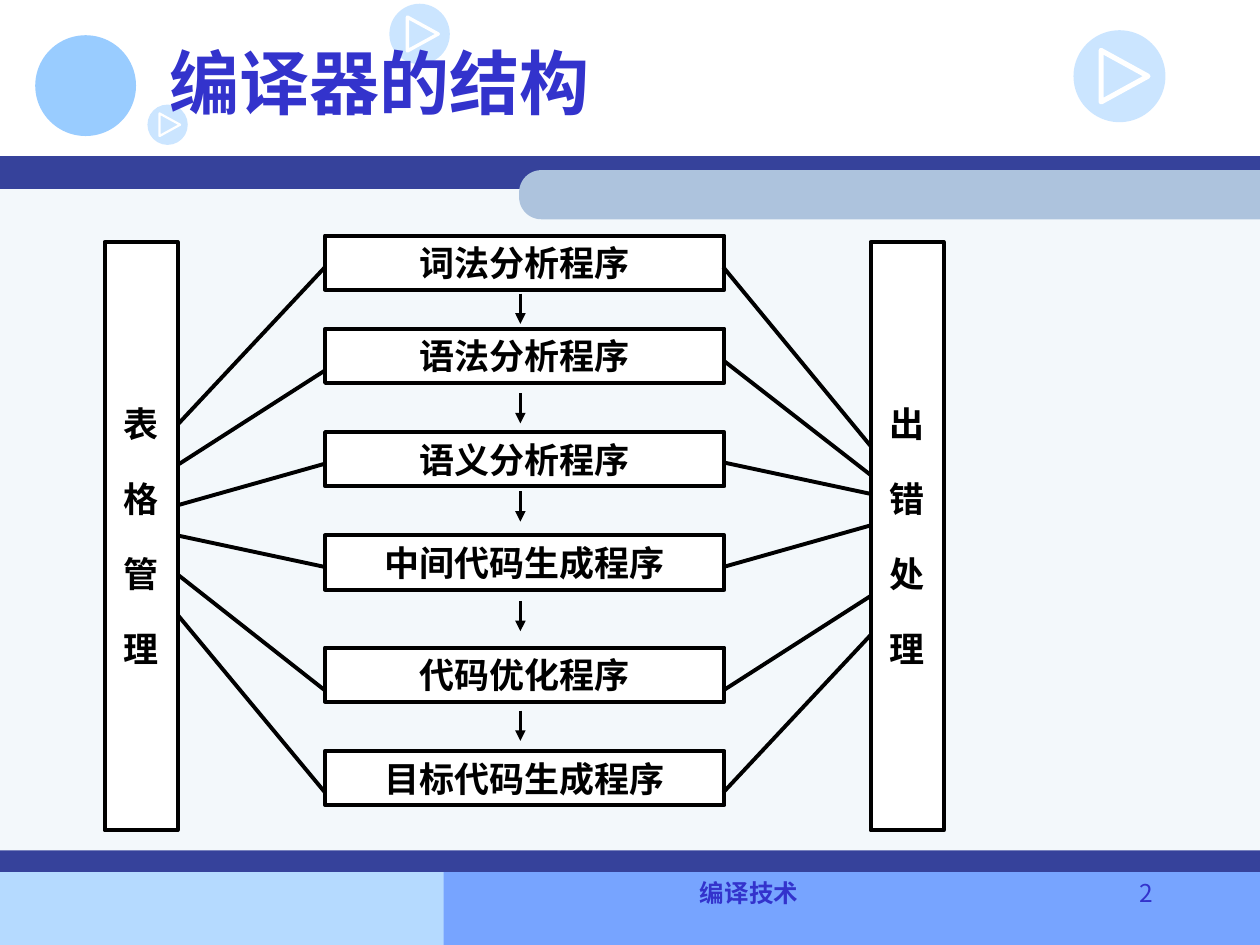
from pptx import Presentation
from pptx.dml.color import RGBColor
from pptx.enum.shapes import MSO_CONNECTOR as Link, MSO_SHAPE as Kind
from pptx.enum.text import MSO_ANCHOR as Anchor, PP_ALIGN as Align
from pptx.oxml.ns import qn
from pptx.util import Inches, Pt
from lxml.etree import SubElement

BLACK = RGBColor(0x00, 0x00, 0x00)
WHITE = RGBColor(0xFF, 0xFF, 0xFF)
INDIGO = RGBColor(0x33, 0x33, 0xCC)
NAVY = RGBColor(0x36, 0x42, 0x9B)
SKY = RGBColor(0x99, 0xCC, 0xFF)
PALE = RGBColor(0xB5, 0xDA, 0xFF)
BLUE = RGBColor(0x77, 0xA4, 0xFF)
MIST = RGBColor(0xF3, 0xF8, 0xFB)
STEEL = RGBColor(0xAD, 0xC3, 0xDD)
SANS = "Noto Sans CJK KR"
SERIF = "Times New Roman"

prs = Presentation()
prs.slide_width, prs.slide_height = Inches(10), Inches(7.5)
shapes = prs.slides.add_slide(prs.slide_layouts[6]).shapes


def add_block(kind, box, fill, line=None):
    """Add a flat shape; line is the colour of a 2.25 pt outline."""
    block = shapes.add_shape(kind, *map(Inches, box))
    block.shadow.inherit = False
    block.fill.solid()
    block.fill.fore_color.rgb = fill
    if line is None:
        block.line.fill.background()
    else:
        block.line.color.rgb = line
        block.line.width = Pt(2.25)
    return block


def set_text(shape, text, size, color, align, font=SERIF, bold=True, gap=0):
    """Fill a shape with text; gap is the space between paragraphs."""
    frame = shape.text_frame
    frame.text = text
    for i, para in enumerate(frame.paragraphs):
        para.alignment = align
        if i and gap:
            para.space_before = Pt(gap)
        run = para.runs[0]
        run.font.name, run.font.size, run.font.bold = font, Pt(size), bold
        run.font.color.rgb = color
        east = SubElement(run.font._element, qn("a:ea"))
        east.set("typeface", SANS)


# Background bands
for box, fill in [
    ((0, 6.92, 4.25, 0.58), PALE),
    ((3.52, 6.91, 6.48, 0.59), BLUE),
    ((0, 1.4, 10, 5.51), MIST),
    ((0, 1.24, 10, 0.26), NAVY),
    ((0, 6.75, 10, 0.17), NAVY),
]:
    add_block(Kind.RECTANGLE, box, fill)
wide, high = 5.88, 0.39
tab = add_block(Kind.ROUND_2_SAME_RECTANGLE,
                (4.12 + (wide - high) / 2, 1.35 - (wide - high) / 2, high, wide), STEEL)
tab.rotation = 270
tab.adjustments[0] = 0.45

# Emblem and play buttons
add_block(Kind.OVAL, (0.28, 0.28, 0.8, 0.8), SKY)
for x, y, size in [(3.09, 0.03, 0.48), (8.52, 0.24, 0.73), (1.17, 0.83, 0.32)]:
    disc = add_block(Kind.OVAL, (x, y, size, size), SKY)
    tint = disc.fill._xPr.find(qn("a:solidFill"))[0]
    SubElement(tint, qn("a:alpha")).set("val", "50000")
    points = [(Inches(x + size * u), Inches(y + size * v))
              for u, v in [(0.3, 0.22), (0.81, 0.5), (0.3, 0.78)]]
    path = shapes.build_freeform(*points[0])
    path.add_line_segments(points[1:], close=True)
    mark = path.convert_to_shape()
    mark.shadow.inherit = False
    mark.fill.background()
    mark.line.color.rgb = WHITE
    mark.line.width = Pt(size * 4)
    SubElement(mark.line._get_or_add_ln(), qn("a:round"))

# Title and footer
for box, text, size, align, font, bold in [
    ((1.25, 0.06, 8.5, 1.17), "编译器的结构", 40, Align.LEFT, SERIF, True),
    ((3.42, 6.92, 5.05, 0.5), "编译技术", 14, Align.CENTER, SANS, True),
    ((8.47, 6.92, 0.78, 0.5), "2", 14, Align.RIGHT, SANS, False),
]:
    label = shapes.add_textbox(*map(Inches, box))
    label.text_frame.word_wrap = True
    if size == 40:
        label.text_frame.vertical_anchor = Anchor.MIDDLE
    set_text(label, text, size, INDIGO, align, font, bold)

# Compiler stages, with the heights where their links end:
# name, top, (left pillar, stage), (stage, right pillar)
stages = [
    ("词法分析程序", 1.87, (3.37, 2.12), (2.12, 3.54)),
    ("语法分析程序", 2.61, (3.69, 2.94), (2.86, 3.77)),
    ("语义分析程序", 3.43, (4.01, 3.68), (3.67, 3.92)),
    ("中间代码生成程序", 4.25, (4.25, 4.5), (4.5, 4.17)),
    ("代码优化程序", 5.14, (4.56, 5.48), (5.48, 4.73)),
    ("目标代码生成程序", 5.96, (4.88, 6.29), (6.29, 5.04)),
]
boxes = [((2.58, top, 3.17, 0.43), name) for name, top, *_ in stages]
boxes += [((0.83, 1.92, 0.58, 4.67), "表\n格\n管\n理"),
          ((6.91, 1.92, 0.58, 4.67), "出\n错\n处\n理")]
for box, text in boxes:
    block = add_block(Kind.RECTANGLE, box, WHITE, BLACK)
    block.text_frame.word_wrap = False
    block.text_frame.vertical_anchor = Anchor.MIDDLE
    set_text(block, text, 20, BLACK, Align.CENTER, gap=19)

# Links to both pillars, then arrows from stage to stage
links = []
for _, _, left, right in stages:
    links += [(1.41, left[0], 2.58, left[1], False),
              (5.74, right[0], 6.91, right[1], False)]
links += [(4.13, y, 4.13, y + 0.24, True) for y in (2.33, 3.12, 3.9, 4.77, 5.64)]
for x1, y1, x2, y2, arrow in links:
    link = shapes.add_connector(Link.STRAIGHT, *map(Inches, (x1, y1, x2, y2)))
    link.line.color.rgb = BLACK
    link.line.width = Pt(2 if arrow else 2.25)
    if arrow:
        SubElement(link.line._get_or_add_ln(), qn("a:tailEnd")).set("type", "triangle")
    SubElement(link._element.spPr, qn("a:effectLst"))

prs.save("out.pptx")
